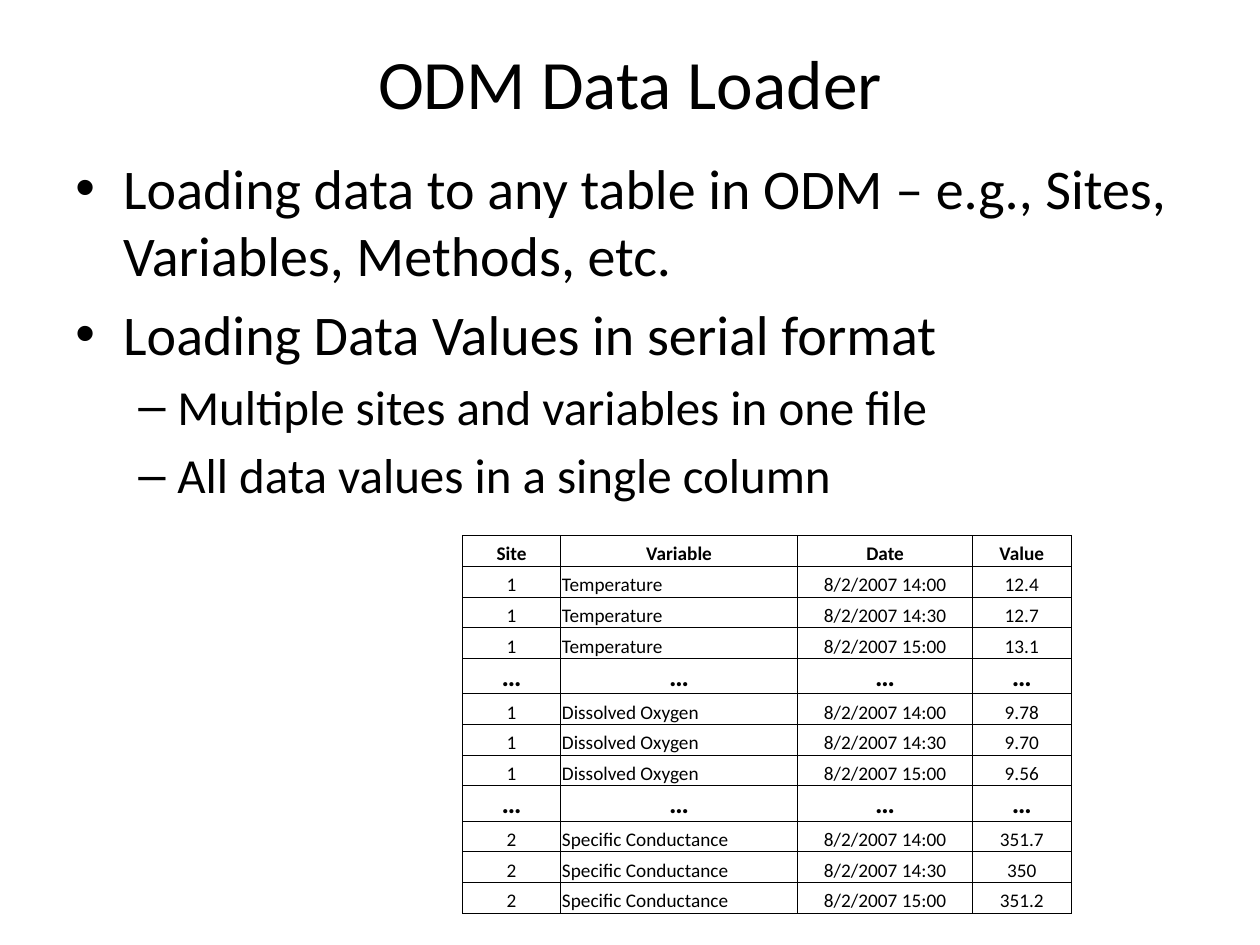
"""Build the ODM Data Loader slide with its bullets and serial data table."""
from typing import NamedTuple

from lxml import etree
from pptx import Presentation
from pptx.dml.color import RGBColor
from pptx.enum.text import MSO_ANCHOR, PP_ALIGN
from pptx.oxml.ns import qn
from pptx.util import Inches, Pt

CENTER, LEFT = PP_ALIGN.CENTER, PP_ALIGN.LEFT
TOP, MIDDLE, BOTTOM = MSO_ANCHOR.TOP, MSO_ANCHOR.MIDDLE, MSO_ANCHOR.BOTTOM
COLORS = {"ink": "000000"}
FONT = "Calibri"


class Level(NamedTuple):
    mark: str
    size: float
    left: float
    hang: float


class Point(NamedTuple):
    text: str
    level: int


class Group(NamedTuple):
    site: str
    name: str
    values: tuple


LEVELS = (Level("•", 32, 0.38, 0.38), Level("–", 28, 0.81, 0.31))
POINTS = (
    Point("Loading data to any table in ODM – e.g., Sites, Variables, Methods, etc.", 0),
    Point("Loading Data Values in serial format", 0),
    Point("Multiple sites and variables in one file", 1),
    Point("All data values in a single column", 1),
)
HEAD = ("Site", "Variable", "Date", "Value")
GAP = ("…",) * len(HEAD)
TIMES = ("14:00", "14:30", "15:00")
GROUPS = (
    Group("1", "Temperature", ("12.4", "12.7", "13.1")),
    Group("1", "Dissolved Oxygen", ("9.78", "9.70", "9.56")),
    Group("2", "Specific Conductance", ("351.7", "350", "351.2")),
)
WIDTHS = (0.78, 1.88, 1.39, 0.78)
HEIGHT, TALL = 3.0, 0.28


def style(par, size: float, bold: bool = False) -> None:
    for run in par.runs:
        run.font.name = FONT
        run.font.size = Pt(size)
        run.font.bold = bold
        run.font.color.rgb = RGBColor.from_string(COLORS["ink"])


def add_title(slide, text: str) -> None:
    title = slide.shapes.title
    title.left, title.top = Inches(0.5), Inches(0.3)
    title.width, title.height = Inches(9), Inches(0.7)
    frame = title.text_frame
    frame.text = text
    frame.vertical_anchor = MIDDLE
    frame.paragraphs[0].alignment = CENTER
    style(frame.paragraphs[0], 39.6)


def add_points(slide, points: tuple) -> None:
    box = slide.shapes.add_textbox(Inches(0.5), Inches(1.17), Inches(9), Inches(5.53))
    frame = box.text_frame
    frame.word_wrap = True
    frame.vertical_anchor = TOP
    frame.text = "\n".join(point.text for point in points)
    for par, point in zip(frame.paragraphs, points):
        level = LEVELS[point.level]
        par.level = point.level
        par.alignment = LEFT
        par.space_before = Pt(level.size * 0.2)
        style(par, level.size)
        props = par._p.get_or_add_pPr()
        props.set("marL", str(Inches(level.left)))
        props.set("indent", str(-Inches(level.hang)))
        etree.SubElement(props, qn("a:buFont"), typeface="Arial")
        etree.SubElement(props, qn("a:buChar"), char=level.mark)


def add_edges(cell) -> None:
    props = cell._tc.get_or_add_tcPr()
    for side in "LRTB":
        line = etree.SubElement(props, qn(f"a:ln{side}"), w=str(Pt(0.5)))
        fill = etree.SubElement(line, qn("a:solidFill"))
        etree.SubElement(fill, qn("a:srgbClr"), val=COLORS["ink"])


def fill_cell(cell, text: str, align, size: float, bold: bool) -> None:
    add_edges(cell)
    cell.fill.background()
    cell.vertical_anchor = BOTTOM
    cell.margin_left = cell.margin_right = cell.margin_top = Inches(0.01)
    cell.margin_bottom = 0
    cell.text_frame.text = text
    par = cell.text_frame.paragraphs[0]
    par.alignment = align
    style(par, size, bold)


def list_rows() -> list:
    rows = [HEAD]
    for group in GROUPS:
        if group is not GROUPS[0]:
            rows.append(GAP)
        for time, value in zip(TIMES, group.values):
            rows.append((group.site, group.name, f"8/2/2007 {time}", value))
    return rows


def add_grid(slide, rows: list) -> None:
    frame = slide.shapes.add_table(
        len(rows), len(HEAD), Inches(3.67), Inches(4.25),
        Inches(sum(WIDTHS)), Inches(HEIGHT))
    table = frame.table
    table.horz_banding = False
    for col, width in zip(table.columns, WIDTHS):
        col.width = Inches(width)
    gaps = rows.count(GAP)
    short = (HEIGHT - gaps * TALL) / (len(rows) - gaps)
    for r, row in enumerate(rows):
        table.rows[r].height = Inches(TALL if row == GAP else short)
        bold = row in (HEAD, GAP)
        size = 16 if row == GAP else 11
        for c, text in enumerate(row):
            align = LEFT if c == 1 and not bold else CENTER
            fill_cell(table.cell(r, c), text, align, size, bold)


def main() -> None:
    deck = Presentation()
    deck.slide_width, deck.slide_height = Inches(10), Inches(7.5)
    slide = deck.slides.add_slide(deck.slide_layouts[5])
    add_title(slide, "ODM Data Loader")
    add_points(slide, POINTS)
    add_grid(slide, list_rows())
    deck.save("out.pptx")


if __name__ == "__main__":
    main()
